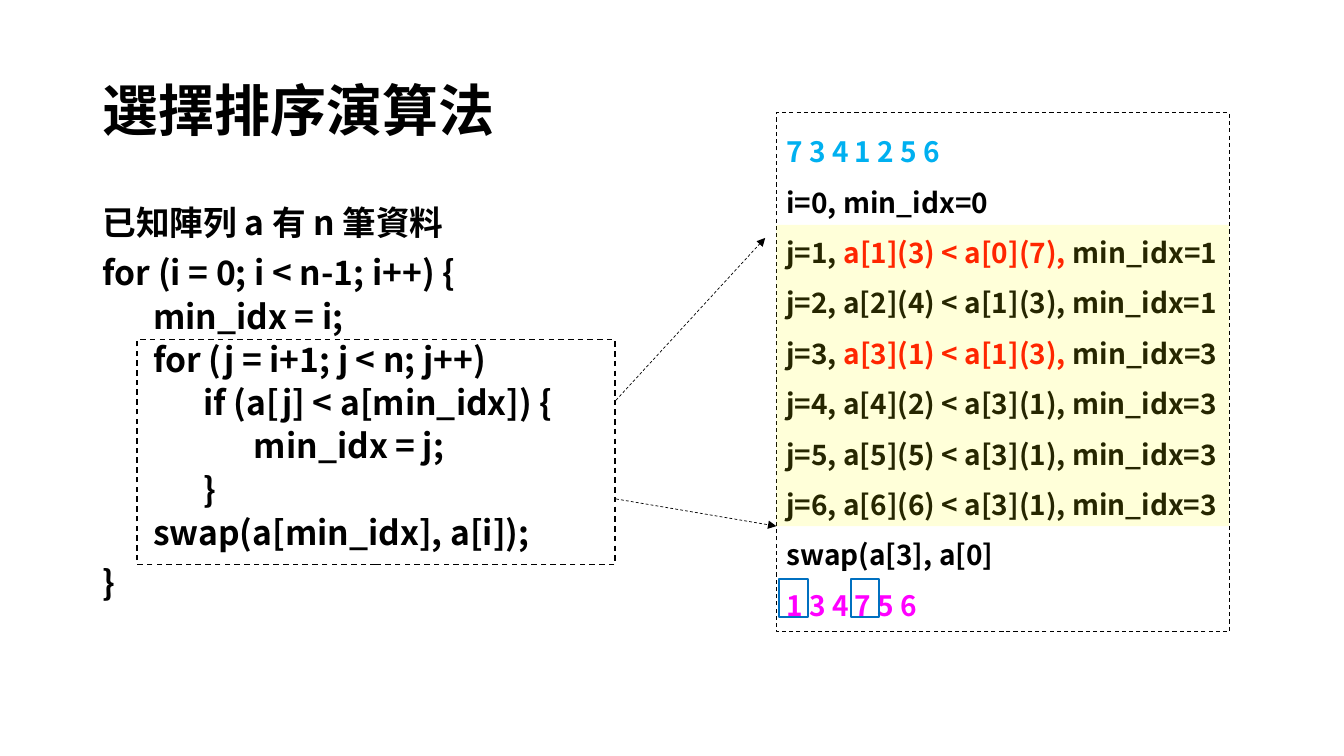
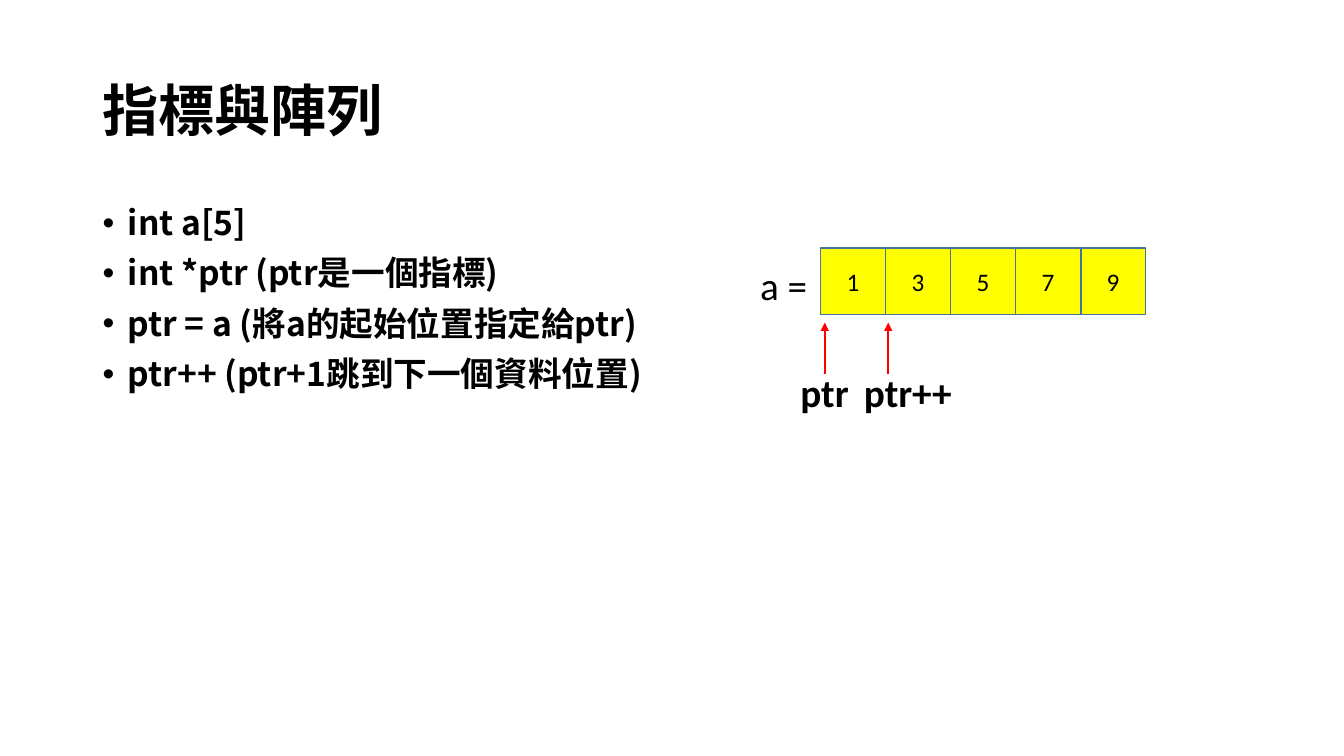
from lxml.etree import SubElement
from pptx import Presentation
from pptx.dml.color import RGBColor
from pptx.enum.dml import MSO_LINE_DASH_STYLE as Dash
from pptx.enum.shapes import MSO_CONNECTOR as Connector, MSO_SHAPE as Shape
from pptx.enum.text import MSO_ANCHOR as Anchor, MSO_AUTO_SIZE as AutoSize, PP_ALIGN as Align
from pptx.oxml.ns import qn
from pptx.util import Inches, Pt

BLACK = RGBColor(0x00, 0x00, 0x00)
RED = RGBColor(0xFF, 0x00, 0x00)
YELLOW = RGBColor(0xFF, 0xFF, 0x00)
MAGENTA = RGBColor(0xFF, 0x00, 0xFF)
SKY = RGBColor(0x00, 0xB0, 0xF0)
BLUE = RGBColor(0x00, 0x70, 0xC0)
STEEL = RGBColor(0x43, 0x73, 0x9E)

HEAD_FONT = "Noto Sans CJK SC"
CELL_FONT = "Calibri"

CODE = [
    (0, "已知陣列 a 有 n 筆資料"),
    (0, "for (i = 0; i < n-1; i++) {"),
    (1, "min_idx = i;"),
    (1, "for (j = i+1; j < n; j++)"),
    (2, "if (a[j] < a[min_idx]) {"),
    (3, "min_idx = j;"),
    (2, "}"),
    (1, "swap(a[min_idx], a[i]);"),
    (0, "}"),
]
TRACE = [
    [("7 3 4 1 2 5 6", SKY)],
    ["i=0, min_idx=0"],
    ["j=1, ", ("a[1](3) < a[0](7), ", RED), "min_idx=1"],
    ["j=2, a[2](4) < a[1](3), min_idx=1"],
    ["j=3, ", ("a[3](1) < a[1](3), ", RED), "min_idx=3"],
    ["j=4, a[4](2) < a[3](1), min_idx=3"],
    ["j=5, a[5](5) < a[3](1), min_idx=3"],
    ["j=6, a[6](6) < a[3](1), min_idx=3"],
    ["swap(a[3], a[0]"],
    [("1 3 4 7 5 6", MAGENTA)],
]
POINTER_NOTES = [
    "int a[5]",
    "int *ptr (ptr是一個指標)",
    "ptr = a (將a的起始位置指定給ptr)",
    "ptr++ (ptr+1跳到下一個資料位置)",
]


class Deck:
    """Holds the shared style and the slide being filled."""

    def __init__(self):
        self.prs = Presentation()
        self.prs.slide_width, self.prs.slide_height = Inches(13.33), Inches(7.5)
        self.s = None

    def slide(self, title):
        self.s = self.prs.slides.add_slide(self.prs.slide_layouts[6])
        tf = self.text_frame(0.92, 0.4, 11.5, 1.45, vertical_anchor=Anchor.MIDDLE)
        self.line(tf, [title], size=40, line_spacing=0.9)

    def text_frame(self, x, y, w, h, **frame):
        tf = self.s.shapes.add_textbox(*map(Inches, (x, y, w, h))).text_frame
        return self.format_frame(tf, **frame)

    def format_frame(self, tf, **frame):
        for name, value in {"word_wrap": True, **frame}.items():
            setattr(tf, name, value)
        return tf

    def line(self, tf, parts, size=24, font=HEAD_FONT, bold=True, **layout):
        """Adds a paragraph; a part is a black text or a (text, colour) pair."""
        p = tf.paragraphs[0]
        if p.runs:
            p = tf.add_paragraph()
        for name, value in {"alignment": Align.LEFT, **layout}.items():
            setattr(p, name, value)
        for part in parts:
            text, color = (part, BLACK) if isinstance(part, str) else part
            r = p.add_run()
            r.text = text
            for name, value in {"name": font, "size": Pt(size), "bold": bold}.items():
                setattr(r.font, name, value)
            r.font.color.rgb = color
            SubElement(r.font._element, qn("a:ea"), typeface=font)
        return p

    def indent(self, p, left, first=0, bullet=None):
        pPr = p._p.get_or_add_pPr()
        pPr.set("marL", str(Inches(left)))
        pPr.set("indent", str(Inches(first)))
        if bullet:
            SubElement(pPr, qn("a:buFont"), typeface="Arial")
            SubElement(pPr, qn("a:buChar"), char=bullet)

    def body(self):
        return self.text_frame(0.92, 2, 11.5, 4.76)

    def code(self, lines):
        tf = self.body()
        for level, text in lines:
            before = Pt(5 if level else 10)
            p = self.line(tf, [text], line_spacing=0.9, space_before=before)
            self.indent(p, 0.5 * level)

    def bullets(self, lines):
        tf = self.body()
        for text in lines:
            p = self.line(tf, [text], line_spacing=0.9, space_before=Pt(10))
            self.indent(p, 0.25, -0.25, "•")

    def label(self, text, x, y, w, bold=True):
        tf = self.text_frame(x, y, w, 0.57, word_wrap=False,
                             auto_size=AutoSize.SHAPE_TO_FIT_TEXT)
        self.line(tf, [text], size=28, font=CELL_FONT, bold=bold)

    def box(self, x, y, w, h, fill=None, opacity=None, line=None, width=1, dash=None):
        shape = self.s.shapes.add_shape(Shape.RECTANGLE, *map(Inches, (x, y, w, h)))
        shape.shadow.inherit = False
        if fill is None:
            shape.fill.background()
        else:
            shape.fill.solid()
            shape.fill.fore_color.rgb = fill
        if opacity is not None:
            color = shape.fill._xPr.find(".//" + qn("a:srgbClr"))
            SubElement(color, qn("a:alpha"), val=str(opacity * 1000))
        if line is None:
            shape.line.fill.background()
        else:
            self.stroke(shape.line, line, width, dash)
        return shape

    def stroke(self, line, color, width, dash):
        line.color.rgb = color
        line.width = Pt(width)
        if dash:
            line.dash_style = dash

    def arrow(self, start, end, color=BLACK, width=0.5, dash=None):
        c = self.s.shapes.add_connector(Connector.STRAIGHT, *map(Inches, (*start, *end)))
        self.stroke(c.line, color, width, dash)
        SubElement(c.line._get_or_add_ln(), qn("a:tailEnd"), type="triangle")
        SubElement(c._element.spPr, qn("a:effectLst"))


def selection_sort(deck):
    deck.slide("選擇排序演算法")
    deck.code(CODE)

    panel_x, panel_w = 7.7, 4.49
    panel = deck.box(panel_x, 1.12, panel_w, 5.15, line=BLACK, width=0.75, dash=Dash.DASH)
    tf = deck.format_frame(panel.text_frame, word_wrap=False, vertical_anchor=Anchor.TOP,
                           auto_size=AutoSize.SHAPE_TO_FIT_TEXT)
    for parts in TRACE:
        deck.line(tf, parts, size=20, line_spacing=1.5)

    deck.box(1.36, 3.37, 4.74, 2.23, line=BLACK, dash=Dash.DASH)
    deck.box(panel_x, 2.23, panel_w, 2.99, fill=YELLOW, opacity=15)
    for start, end in [((6.11, 3.97), (7.59, 2.36)), ((6.11, 4.95), (panel_x, 5.22))]:
        deck.arrow(start, end, dash=Dash.DASH)
    for swapped_x in (7.73, 8.44):
        deck.box(swapped_x, 5.74, 0.28, 0.38, line=BLUE, width=1.5)


def pointers_and_arrays(deck):
    deck.slide("指標與陣列")
    deck.bullets(POINTER_NOTES)

    values = [1, 3, 5, 7, 9]
    first_x, last_x = 8.14, 10.72
    pitch = (last_x - first_x) / (len(values) - 1)
    for i, value in enumerate(values):
        cell = deck.box(first_x + i * pitch, 2.46, 0.64, 0.66, fill=YELLOW, line=STEEL)
        tf = deck.format_frame(cell.text_frame, vertical_anchor=Anchor.MIDDLE)
        deck.line(tf, [str(value)], size=18, font=CELL_FONT, bold=False,
                  alignment=Align.CENTER)

    deck.label("a =", 7.44, 2.54, 0.76, bold=False)
    for text, x, w in [("ptr", 8.18, 0.69), ("ptr++", 8.81, 1.08)]:
        deck.label(text, x - 0.34, 3.6, w)
        deck.arrow((x, 3.71), (x, 3.2), color=RED, width=1.5)


def main():
    deck = Deck()
    selection_sort(deck)
    pointers_and_arrays(deck)
    deck.prs.save("out.pptx")


if __name__ == "__main__":
    main()
